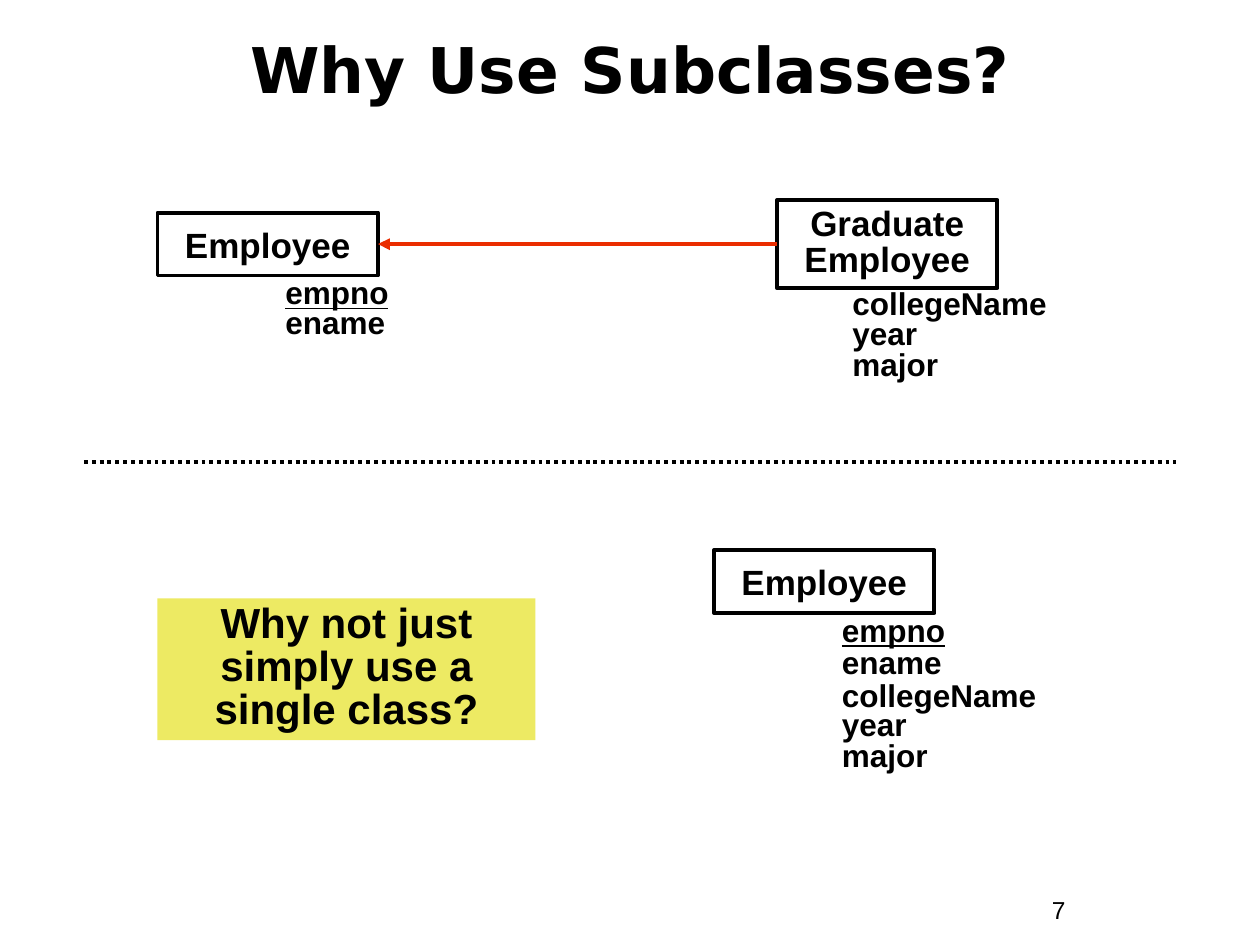
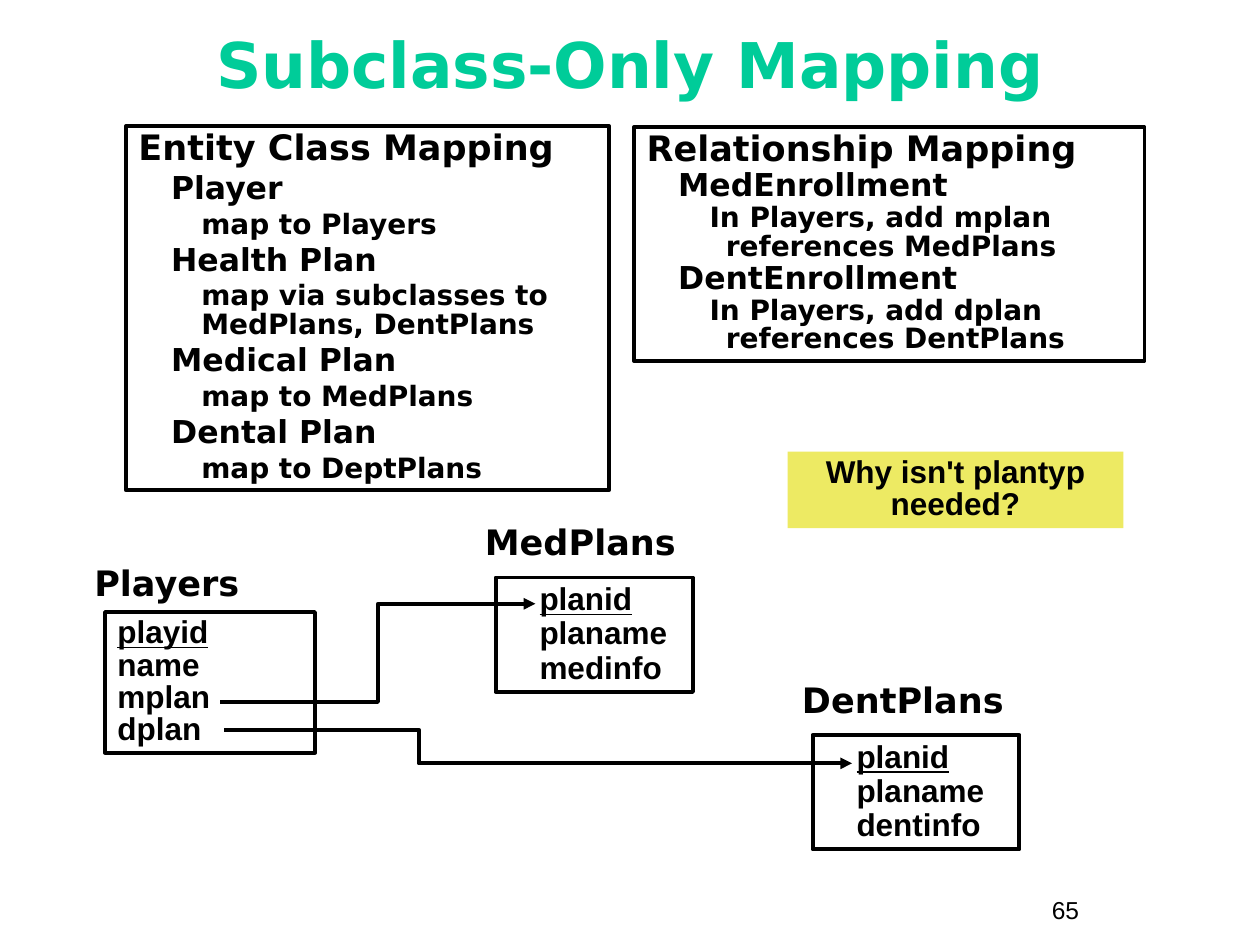
from dataclasses import dataclass

from lxml.etree import SubElement
from pptx import Presentation
from pptx.dml.color import RGBColor
from pptx.enum.dml import MSO_LINE
from pptx.enum.shapes import MSO_CONNECTOR, MSO_SHAPE
from pptx.enum.text import MSO_ANCHOR, PP_ALIGN
from pptx.oxml.ns import qn
from pptx.util import Inches, Pt

COLORS = {"ink": "000000", "title": "00CC99", "arrow": "EA2D00", "note": "EDEA63"}
BODY_FONT = "Arial"
HEAD_FONT = "DejaVu Sans"
COLUMNS, ROWS = 120, 90
WIDTH, HEIGHT = Inches(10), Inches(7.5)
LINE_WIDTH = Pt(2.25)


@dataclass
class Line:
    """One paragraph of text with its style."""

    text: str
    size: float = 18
    spacing: float = 0.85
    font: str = BODY_FONT
    bold: bool = True
    underline: bool = False
    color: str = "ink"
    level: int = 0
    indent: float = 0
    hanging: float = 0
    before: float = 0


@dataclass
class Level:
    """The style of one depth of an outline."""

    size: float
    indent: float
    hanging: float
    before: float


def rgb(name):
    """Return the named colour."""
    return RGBColor.from_string(COLORS[name])


def across(columns):
    """Turn grid columns into a length."""
    return round(WIDTH * columns / COLUMNS)


def down(rows):
    """Turn grid rows into a length."""
    return round(HEIGHT * rows / ROWS)


def place(box):
    """Turn a grid box into left, top, width and height."""
    left, top, width, height = box
    return across(left), down(top), across(width), down(height)


def write(shape, lines, align=PP_ALIGN.LEFT, anchor=MSO_ANCHOR.TOP, wrap=True):
    """Fill a shape with styled paragraphs."""
    frame = shape.text_frame
    frame.word_wrap = wrap
    frame.vertical_anchor = anchor
    for index, line in enumerate(lines):
        para = frame.add_paragraph() if index else frame.paragraphs[0]
        para.text = line.text
        para.alignment = align
        para.level = line.level
        para.line_spacing = line.spacing
        para.space_before = Pt(line.before if index else 0)
        properties = para._p.get_or_add_pPr()
        properties.set("marL", str(Inches(line.indent)))
        properties.set("indent", str(Inches(line.hanging)))
        para.font.name = line.font
        para.font.size = Pt(line.size)
        para.font.bold = line.bold
        para.font.underline = line.underline
        para.font.color.rgb = rgb(line.color)


def add_text(page, box, lines, **style):
    """Add a text box."""
    write(page.shapes.add_textbox(*place(box)), lines, **style)


def add_box(page, box, lines, fill=None, **style):
    """Add a filled rectangle, or an outlined one when no fill is given."""
    shape = page.shapes.add_shape(MSO_SHAPE.RECTANGLE, *place(box))
    shape.shadow.inherit = False
    if fill:
        shape.fill.solid()
        shape.fill.fore_color.rgb = rgb(fill)
        shape.line.fill.background()
    else:
        shape.fill.background()
        shape.line.color.rgb = rgb("ink")
        shape.line.width = LINE_WIDTH
    write(shape, lines, **style)
    return shape


def add_line(page, start, end, kind=MSO_CONNECTOR.STRAIGHT, color="ink", dash=None, arrow=True):
    """Add a connector between two grid points."""
    link = page.shapes.add_connector(
        kind, across(start[0]), down(start[1]), across(end[0]), down(end[1]))
    link.line.color.rgb = rgb(color)
    link.line.width = LINE_WIDTH
    if dash:
        link.line.dash_style = dash
    if arrow:
        SubElement(link.line._get_or_add_ln(), qn("a:tailEnd"), type="triangle")
    SubElement(link._element.spPr, qn("a:effectLst"))
    return link


def foreign_key(page, start, end, bend):
    """Add an elbow arrow that turns at the given share of its width."""
    link = add_line(page, start, end, MSO_CONNECTOR.ELBOW)
    geometry = link._element.spPr.find(qn("a:prstGeom"))
    guides = geometry.find(qn("a:avLst"))
    if guides is None:
        guides = SubElement(geometry, qn("a:avLst"))
    SubElement(guides, qn("a:gd"), name="adj1", fmla=f"val {round(bend * 100000)}")


def add_page(deck, title, number, top, color="ink", spacing=1.0):
    """Add a blank slide with its title and number."""
    page = deck.slides.add_slide(deck.slide_layouts[6])
    add_text(page, (99, 84.7, 11, 4.1), [Line(number, 14, 1.0, bold=False)])
    add_text(page, (4, top, 112, 10), [Line(title, 36, spacing, HEAD_FONT, color=color)],
             align=PP_ALIGN.CENTER, anchor=MSO_ANCHOR.MIDDLE)
    return page


def entity_class(page, box, name, attributes, inset, spacing=1.0):
    """Add a class box with its attributes hanging below it."""
    left, top, width, height = box
    shape = add_box(page, box, [Line(name, 20, spacing)], align=PP_ALIGN.CENTER,
                    anchor=MSO_ANCHOR.MIDDLE, wrap=False)
    add_text(page, (left + inset, top + height - 0.4, 27, 3.3 * len(attributes)), attributes)
    return shape


def relation(page, box, name, fields, rise, indent=0, spacing=0.85):
    """Add a captioned table box whose first field is the key."""
    left, top = box[:2]
    add_text(page, (left - 2.2, top - rise, 25.8, 5.3), [Line(name, 20, 1.0, HEAD_FONT)])
    add_box(page, box, [Line(field, spacing=spacing, indent=indent, underline=index == 0)
                        for index, field in enumerate(fields)])


def outline(page, box, levels, entries):
    """Add an outlined box with text at several depths."""
    lines = []
    for depth, text in entries:
        level = levels[depth]
        lines.append(Line(text, level.size, font=HEAD_FONT, level=depth, indent=level.indent,
                          hanging=level.hanging, before=level.before))
    add_box(page, box, lines)


def note(page, box, text, size):
    """Add a highlighted question."""
    add_box(page, box, [Line(text, size)], fill="note", align=PP_ALIGN.CENTER)


def subclasses_page(deck):
    """Build the slide comparing a subclass with a single class."""
    page = add_page(deck, "Why Use Subclasses?", "7", 2, spacing=0.9)
    key = Line("empno", spacing=0.9, underline=True)
    graduate_fields = [Line("collegeName"), Line("year", spacing=0.75), Line("major")]
    employee = entity_class(page, (15, 20.25, 21, 6), "Employee",
                            [key, Line("ename", spacing=0.75)], 11)
    graduate = entity_class(page, (74, 19.05, 21, 8.4), "Graduate\nEmployee",
                            graduate_fields, 6, 0.85)
    link = add_line(page, (74, 23.25), (36, 23.25), color="arrow")
    link.begin_connect(graduate, 1)
    link.end_connect(employee, 3)
    add_line(page, (8, 44), (112, 44), dash=MSO_LINE.ROUND_DOT, arrow=False)
    note(page, (15, 57, 36, 13.5), "Why not just simply use a single class?", 24)
    entity_class(page, (68, 52.4, 21, 6), "Employee",
                 [key, Line("ename"), *graduate_fields], 11)


def mapping_page(deck):
    """Build the slide on mapping subclasses to tables."""
    page = add_page(deck, "Subclass-Only Mapping", "65", 1, color="title")
    entity_levels = [Level(20, 0, 0, 0), Level(18, 0.26, 0, 3.4), Level(16, 0.5, 0, 3)]
    outline(page, (12, 12, 46, 34.7), entity_levels, [
        (0, "Entity Class Mapping"),
        (1, "Player"), (2, "map to Players"),
        (1, "Health Plan"), (2, "map via subclasses to MedPlans, DentPlans"),
        (1, "Medical Plan"), (2, "map to MedPlans"),
        (1, "Dental Plan"), (2, "map to DeptPlans"),
    ])
    relationship_levels = [Level(20, 0, 0, 0), Level(18, 0.25, 0, 1.1),
                           Level(16, 0.63, -0.13, 1)]
    outline(page, (60.4, 12.1, 48.6, 22.3), relationship_levels, [
        (0, "Relationship Mapping"),
        (1, "MedEnrollment"), (2, "In Players, add mplan\nreferences MedPlans"),
        (1, "DentEnrollment"), (2, "In Players, add dplan\nreferences DentPlans"),
    ])
    note(page, (75, 43, 32, 7.3), "Why isn't plantyp needed?", 18)
    relation(page, (10, 58.3, 20, 13.4), "Players", ["playid", "name", "mplan", "dplan"], 5.4)
    plan_style = {"rise": 6, "indent": 0.25, "spacing": 0.9}
    relation(page, (47.2, 55, 18.8, 10.9), "MedPlans",
             ["planid", "planame", "medinfo"], **plan_style)
    relation(page, (77.4, 70, 19.7, 10.9), "DentPlans",
             ["planid", "planame", "dentinfo"], **plan_style)
    foreign_key(page, (21, 66.85), (51, 57.5), 0.5)
    foreign_key(page, (21.35, 69.5), (81.15, 72.7), 0.31)


def main():
    """Build and save the deck."""
    deck = Presentation()
    deck.slide_width, deck.slide_height = WIDTH, HEIGHT
    subclasses_page(deck)
    mapping_page(deck)
    deck.save("out.pptx")


if __name__ == "__main__":
    main()
